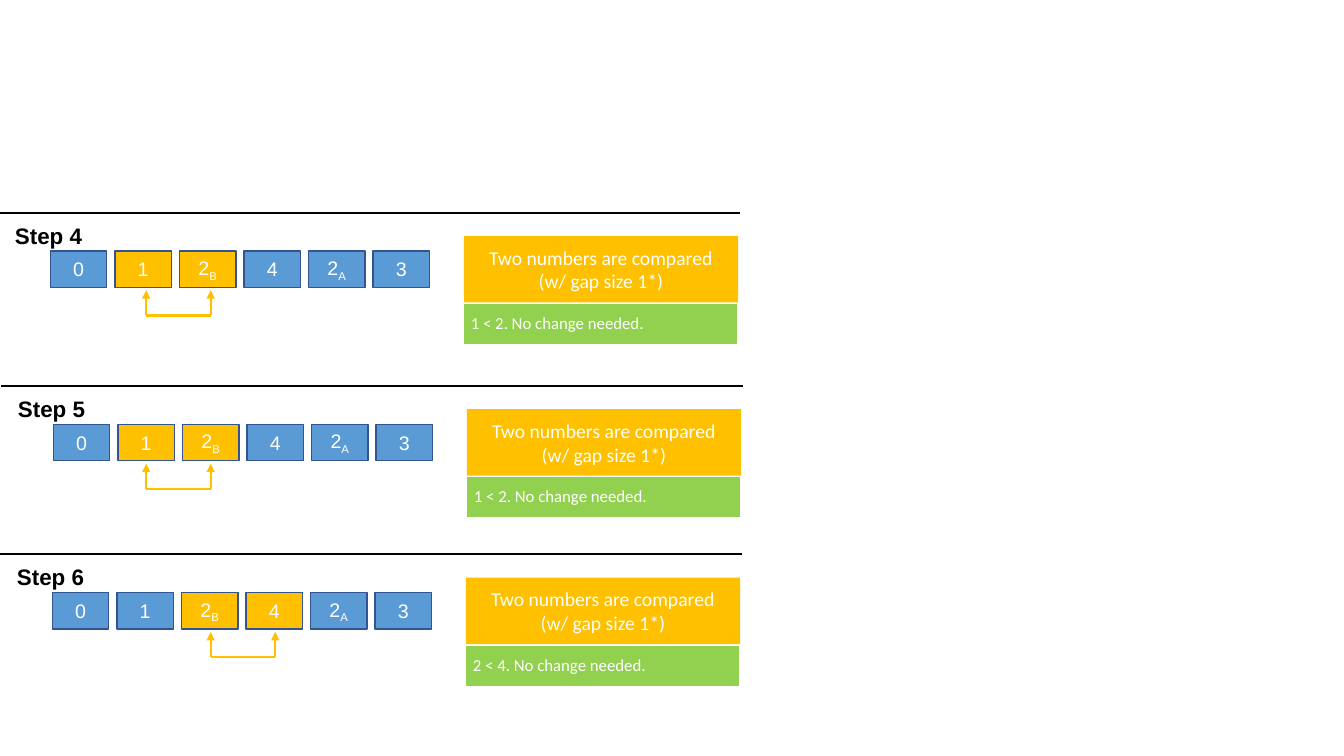
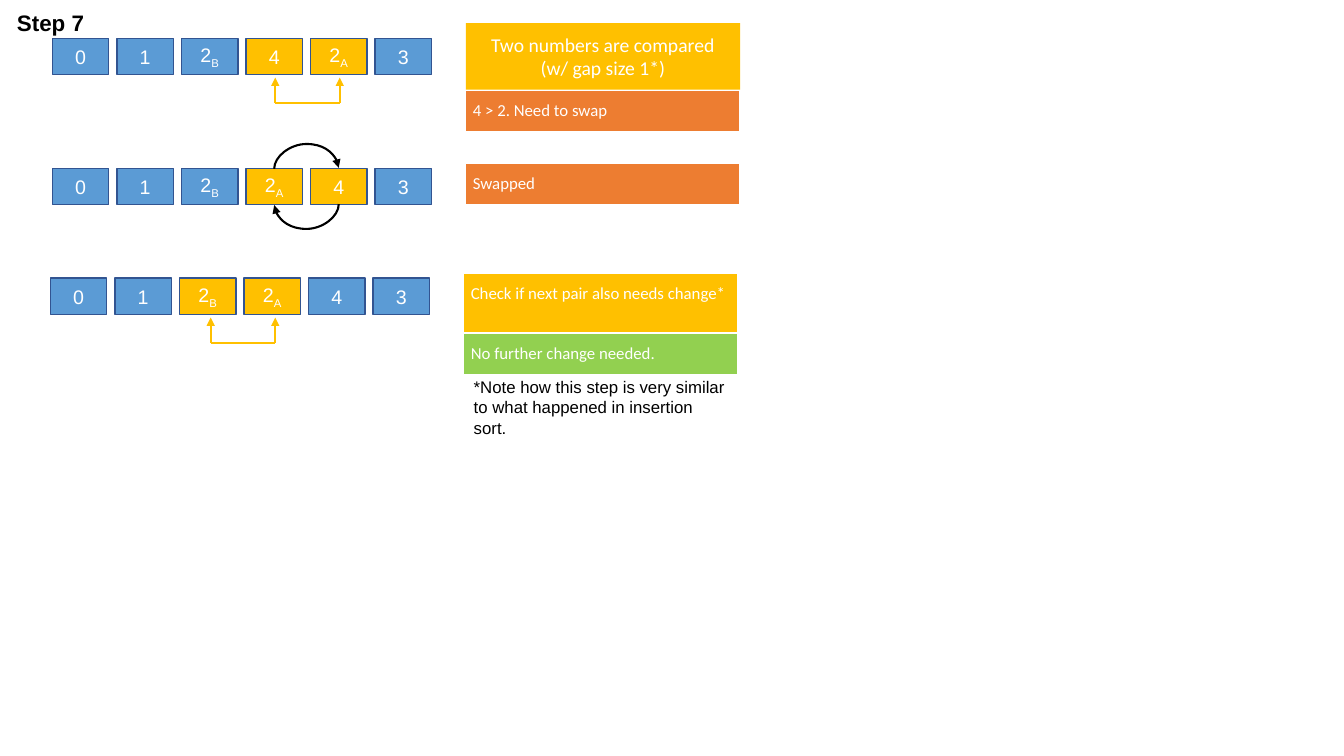
from lxml.etree import SubElement
from pptx import Presentation
from pptx.dml.color import RGBColor
from pptx.enum.shapes import MSO_CONNECTOR, MSO_SHAPE
from pptx.enum.text import MSO_ANCHOR, MSO_AUTO_SIZE, PP_ALIGN
from pptx.oxml.ns import qn
from pptx.util import Inches, Pt

COLORS = {
    "black": "000000", "white": "FFFFFF", "blue": "5B9BD5", "outline": "325491",
    "gold": "FFC000", "green": "92D050", "orange": "ED7D31",
}
CELL_WIDTH, CELL_HEIGHT, CELL_PITCH = 0.56, 0.36, 0.64
BRACKET_LEFT, BRACKET_GAP, BRACKET_HEIGHT = 0.81, 0.39, 0.25
NOTE_OFFSET, NOTE_WIDTH = 4.1, 2.72
COMPARE_TEXT = "Two numbers are compared (w/ gap size 1*)"


def color(name):
    """Return the named palette colour."""
    return RGBColor.from_string(COLORS[name])


class SortDeck:
    """Hold the shared style and the current slide."""

    def __init__(self):
        """Start an empty widescreen deck."""
        self.deck = Presentation()
        self.deck.slide_width = Inches(13.33)
        self.deck.slide_height = Inches(7.5)
        self.page = None

    def add_page(self):
        """Start a new blank slide."""
        self.page = self.deck.slides.add_slide(self.deck.slide_layouts[6])

    def style_text(self, para, size, font="Arial", ink="white", bold=False):
        """Format every run of a paragraph."""
        for span in para.runs:
            span.font.size = Pt(size)
            span.font.name = font
            span.font.bold = bold
            span.font.color.rgb = color(ink)

    def text(self, words, left, top, width, height, size, bold=False, wrap=True):
        """Add a plain black text box."""
        box = self.page.shapes.add_textbox(
            Inches(left), Inches(top), Inches(width), Inches(height))
        frame = box.text_frame
        frame.text = words
        frame.word_wrap = wrap
        frame.auto_size = MSO_AUTO_SIZE.SHAPE_TO_FIT_TEXT
        self.style_text(frame.paragraphs[0], size, ink="black", bold=bold)

    def block(self, words, left, top, width, height, fill, outline=None,
              font="Arial", subscript=""):
        """Add a filled rectangle with centred text and an optional subscript."""
        box = self.page.shapes.add_shape(
            MSO_SHAPE.RECTANGLE, Inches(left), Inches(top), Inches(width), Inches(height))
        box.shadow.inherit = False
        box.fill.solid()
        box.fill.fore_color.rgb = color(fill)
        if outline:
            box.line.color.rgb = color(outline)
            box.line.width = Pt(1)
        else:
            box.line.fill.background()
        frame = box.text_frame
        frame.text = words
        frame.word_wrap = True
        frame.vertical_anchor = MSO_ANCHOR.MIDDLE
        para = frame.paragraphs[0]
        para.alignment = PP_ALIGN.CENTER
        if subscript:
            span = para.add_run()
            span.text = subscript
            span._r.get_or_add_rPr().set("baseline", "-25000")
        self.style_text(para, 14, font)

    def line(self, start, end, ink="black", arrow=False, shapes=None,
             kind=MSO_CONNECTOR.STRAIGHT):
        """Add a connector, with an arrowhead at its end if asked."""
        shapes = shapes or self.page.shapes
        connector = shapes.add_connector(kind, *(Inches(n) for n in (*start, *end)))
        connector.line.color.rgb = color(ink)
        connector.line.width = Pt(1.5)
        if arrow:
            SubElement(connector.line._get_or_add_ln(), qn("a:tailEnd"), type="triangle")
        SubElement(connector._element.spPr, qn("a:effectLst"))
        return connector

    def swap_arc(self, center, middle, upward=False):
        """Add a curved arrow that bulges above or below two neighbouring cells."""
        depth, bulge = 0.01, 0.25
        start = (center - depth / 2, middle - CELL_PITCH / 2)
        end = (center + depth / 2, middle + CELL_PITCH / 2)
        if upward:
            start, end = end, start
        connector = self.line(start, end, arrow=True, kind=MSO_CONNECTOR.CURVE)
        properties = connector._element.spPr
        properties.find(qn("a:xfrm")).set("rot", str(90 * 60000))
        guides = properties.find(qn("a:prstGeom")).get_or_add_avLst()
        SubElement(guides, qn("a:gd"), name="adj1",
                   fmla=f"val {round(bulge / depth * 100000)}")

    def bracket(self, first, row_top):
        """Join two neighbouring cells with a double arrow below the row."""
        shapes = self.page.shapes.add_group_shape().shapes
        left = BRACKET_LEFT + first * CELL_PITCH
        right = left + CELL_PITCH
        tip = row_top + BRACKET_GAP
        base = tip + BRACKET_HEIGHT
        for x in (left, right):
            self.line((x, base), (x, tip), "gold", True, shapes)
        self.line((left, base), (right, base), "gold", shapes=shapes)

    def row(self, values, left, top, first):
        """Draw the number row with the compared pair highlighted."""
        for index, value in enumerate(values):
            fill = "gold" if index in (first, first + 1) else "blue"
            self.block(value[0], left + index * CELL_PITCH, top, CELL_WIDTH, CELL_HEIGHT,
                       fill, "outline", subscript=value[1:])

    def status(self, words, left, top, fill, height=0.42):
        """Add a one-cell table that states the result."""
        table = self.page.shapes.add_table(
            1, 1, Inches(left), Inches(top), Inches(NOTE_WIDTH), Inches(height)).table
        table.first_row = table.horz_banding = False
        cell = table.cell(0, 0)
        cell.text = words
        cell.margin_left = cell.margin_right = Inches(0.07)
        cell.margin_top = cell.margin_bottom = 0
        para = cell.text_frame.paragraphs[0]
        para.line_spacing = 1.5
        self.style_text(para, 12, "Calibri")
        properties = cell._tc.get_or_add_tcPr()
        for side, width in (("L", 1), ("R", 1), ("T", 1), ("B", 3)):
            border = SubElement(properties, qn(f"a:ln{side}"), w=str(Pt(width)))
            solid = SubElement(border, qn("a:solidFill"))
            SubElement(solid, qn("a:srgbClr"), val=COLORS["white"])
        cell.fill.solid()
        cell.fill.fore_color.rgb = color(fill)

    def step(self, number, values, left, top, first, result, fill="green", rule=True):
        """Draw a whole comparison step."""
        if rule:
            start = left - 0.52
            self.line((start, top - 0.38), (start + 7.36, top - 0.38))
        self.text(f"Step {number}", left - 0.45, top - 0.34, 0.88, 0.37, 16, True, False)
        note_left = left + NOTE_OFFSET
        self.block(COMPARE_TEXT, note_left, top - 0.15, NOTE_WIDTH, 0.66, "gold",
                   font="Calibri")
        self.status(result, note_left, top + 0.52, fill)
        self.row(values, left, top, first)
        self.bracket(first, top)


def build_comparisons(sort):
    """Build steps 4 to 6."""
    sort.add_page()
    values = ["0", "1", "2B", "4", "2A", "3"]
    sort.step(4, values, 0.5, 2.49, 1, "1 < 2. No change needed.")
    sort.step(5, values, 0.53, 4.21, 1, "1 < 2. No change needed.")
    sort.step(6, values, 0.52, 5.88, 2, "2 < 4. No change needed.")


def build_swap(sort):
    """Build step 7 with its swap and follow-up check."""
    sort.add_page()
    sort.step(7, ["0", "1", "2B", "4", "2A", "3"], 0.52, 0.38, 3,
              "4 > 2. Need to swap", "orange", rule=False)

    swapped = ["0", "1", "2B", "2A", "4", "3"]
    swap_top = 1.67
    sort.row(swapped, 0.52, swap_top, 3)
    sort.status("Swapped", 0.52 + NOTE_OFFSET, swap_top - 0.05, "orange")
    sort.swap_arc(3.04, swap_top + CELL_HEIGHT)
    sort.swap_arc(3.04, swap_top, upward=True)

    check_top, note_left = 2.76, 0.5 + NOTE_OFFSET
    sort.row(swapped, 0.5, check_top, 2)
    sort.bracket(2, check_top)
    sort.status("Check if next pair also needs change*", note_left, check_top - 0.05,
                "gold", 0.6)
    sort.status("No further change needed.", note_left, check_top + 0.55, "green")
    sort.text("*Note how this step is very similar to what happened in insertion sort.",
              note_left, 3.69, NOTE_WIDTH, 0.71, 12)


sort_deck = SortDeck()
build_comparisons(sort_deck)
build_swap(sort_deck)
sort_deck.deck.save("out.pptx")
